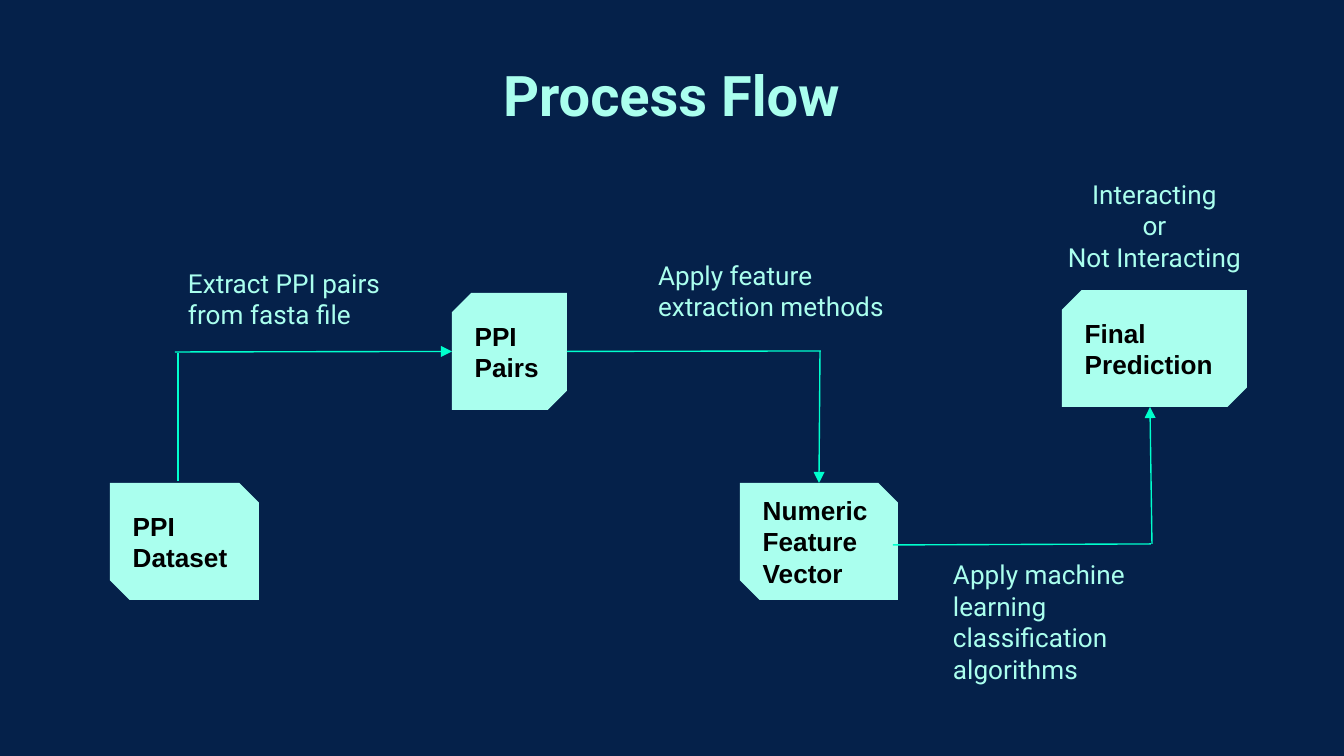
from lxml import etree
from pptx import Presentation
from pptx.dml.color import RGBColor
from pptx.enum.shapes import MSO_CONNECTOR, MSO_SHAPE
from pptx.enum.text import MSO_ANCHOR, PP_ALIGN
from pptx.oxml.ns import qn
from pptx.util import Emu, Pt

EMU_PER_PX = 9144000 / 1344
COLORS = {"background": "05214A", "mint": "AAFFEE", "line": "00FFCD", "ink": "000000"}
TOP, LEFT, BOTTOM, RIGHT = range(4)


def px(*lengths):
    return [Emu(round(length * EMU_PER_PX)) for length in lengths]


def color(name):
    return RGBColor.from_string(COLORS[name])


def write_text(shape, text, font_name, size, color_name, bold=False, align=PP_ALIGN.LEFT):
    frame = shape.text_frame
    frame.text = text
    frame.word_wrap = True
    frame.vertical_anchor = MSO_ANCHOR.MIDDLE
    frame.margin_left = frame.margin_right = frame.margin_top = frame.margin_bottom = px(13)[0]
    for paragraph in frame.paragraphs:
        paragraph.alignment = align
        font = paragraph.font
        font.name, font.size, font.bold = font_name, Pt(size), bold
        font.color.rgb = color(color_name)


def set_title(slide, text, box):
    title = slide.shapes.title
    title.left, title.top, title.width, title.height = px(*box)
    write_text(title, text, "Roboto", 30, "mint", bold=True, align=PP_ALIGN.CENTER)


def add_step(slide, text, box, snips):
    """Add a box whose snips are (top-left and bottom-right, the other two)."""
    step = slide.shapes.add_shape(MSO_SHAPE.SNIP_2_DIAG_RECTANGLE, *px(*box))
    step.adjustments[0], step.adjustments[1] = snips
    step.shadow.inherit = False
    step.fill.solid()
    step.fill.fore_color.rgb = color("mint")
    step.line.fill.background()
    write_text(step, text, "Arial", 14, "ink", bold=True)
    return step


def add_label(slide, text, box, align=PP_ALIGN.LEFT):
    label = slide.shapes.add_textbox(*px(*box))
    write_text(label, text, "Roboto", 14, "mint", align=align)


def add_line(slide, start, end, arrow=False):
    line = slide.shapes.add_connector(MSO_CONNECTOR.STRAIGHT, *px(*start, *end))
    line.line.color.rgb = color("line")
    line.line.width = Pt(0.75)
    if arrow:
        etree.SubElement(line.line._get_or_add_ln(), qn("a:tailEnd"), type="triangle")
    etree.SubElement(line._element.spPr, qn("a:effectLst"))
    return line


def main():
    presentation = Presentation()
    presentation.slide_width, presentation.slide_height = px(1344, 756)
    slide = presentation.slides.add_slide(presentation.slide_layouts[5])
    slide.background.fill.solid()
    slide.background.fill.fore_color.rgb = color("background")

    set_title(slide, "Process Flow", (158, 44, 1027, 101))

    falling, rising = (0.167, 0), (0, 0.167)
    add_step(slide, "PPI Dataset", (110, 483, 149, 117), rising)
    pairs = add_step(slide, "PPI Pairs", (452, 293, 115, 117), falling)
    vector = add_step(slide, "Numeric Feature Vector", (740, 483, 158, 117), rising)
    add_step(slide, "Final Prediction", (1062, 290, 185, 117), falling)

    add_label(slide, "Extract PPI pairs from fasta file", (175, 248, 238, 101))
    add_label(slide, "Apply feature extraction methods", (645, 240, 253, 101))
    add_label(slide, "Apply machine learning classification algorithms", (940, 571, 263, 101))
    add_label(slide, "Interacting\nor\nNot Interacting", (1023, 175, 263, 101), PP_ALIGN.CENTER)

    add_line(slide, (178, 481), (178, 353))
    into_pairs = add_line(slide, (175, 352), (452, 351), arrow=True)
    into_pairs.end_connect(pairs, LEFT)
    from_pairs = add_line(slide, (567, 352), (821, 351))
    from_pairs.begin_connect(pairs, RIGHT)
    into_vector = add_line(slide, (820, 351), (819, 483), arrow=True)
    into_vector.end_connect(vector, TOP)
    add_line(slide, (893, 545), (1151, 544))
    add_line(slide, (1152, 544), (1150, 407), arrow=True)

    presentation.save("out.pptx")


if __name__ == "__main__":
    main()
